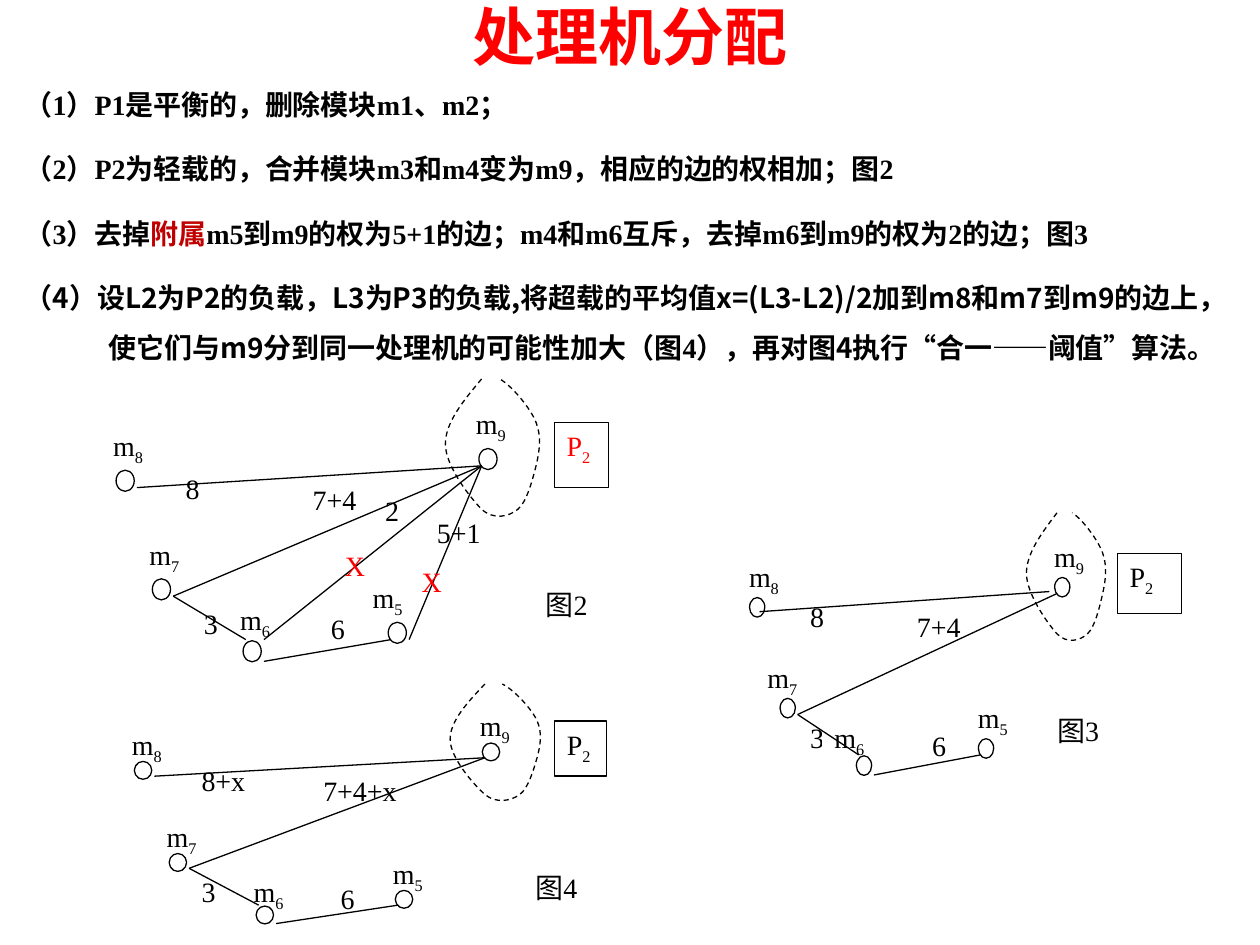
from collections import namedtuple

from lxml import etree
from pptx import Presentation
from pptx.dml.color import RGBColor
from pptx.enum import dml, shapes, text
from pptx.oxml import ns
from pptx.util import Cm, Pt

BLACK = RGBColor(0x00, 0x00, 0x00)
WHITE = RGBColor(0xFF, 0xFF, 0xFF)
RED = RGBColor(0xFF, 0x00, 0x00)
DARK_RED = RGBColor(0xC0, 0x00, 0x00)
SERIF = "Times New Roman"
SANS = "Noto Sans CJK SC"

COLUMNS, ROWS = 28, 14
NODES = {"6": (7.85, 12.05), "5": (15.85, 11.2), "9": (20.85, 3.2),
         "8": (0.85, 4.2), "7": (2.85, 9.2)}
LABELS = {"6": (7, 10), "5": (15, 9), "9": (20, 1), "8": (0, 2), "7": (2, 7)}
SHORT_EDGES = [(4, 10, 8, 12), (21, 4, 4, 10), (9, 13, 16, 12)]
CLUSTER_START = (21, 0)
CLUSTER_CURVES = [
    ((20, 1), (19, 2), (19, 3)),
    ((19, 4), (20.35, 5.45), (21, 6)),
    ((21.65, 6.5), (22.5, 6.35), (23, 6)),
    ((23.5, 5.65), (23.8, 4.65), (24, 4)),
    ((24.2, 3.3), (24.3, 2.65), (24, 2)),
    ((23.7, 1.35), (22.65, 0.3), (22, 0)),
]

Figure = namedtuple("Figure", "box weights edges label_columns processor caption marks")
FIGURES = [
    Figure((2.03, 7.64, 10.24, 6.13),
           [("3", 5, 10.2), ("2", 15, 5), ("5+1", 17.85, 6), ("7+4", 11, 4.5),
            ("8", 4, 4), ("6", 12, 10.4)],
           [(21, 4, 9, 12), (21, 4, 17, 12), (2, 5, 21, 4)],
           {"5": 14.3}, (25, 3, RED),
           ("图2", 8.71, 4.07, text.MSO_ANCHOR.MIDDLE),
           [(6.22, 3.61), (4.67, 3.3)]),
    Figure((14.85, 10.34, 8.61, 5.69),
           [("3", 4, 10), ("7+4", 11, 4.5), ("8", 4, 4), ("6", 12, 10.4)],
           [(1.5, 4.9, 20.5, 3.9)],
           {"6": 5.6, "7": 1.2}, (24.95, 4.2, BLACK),
           ("图3", 6.2, 3.91, text.MSO_ANCHOR.TOP), []),
    Figure((2.41, 13.79, 9.82, 5.2),
           [("3", 4, 10), ("7+4+x", 11, 4.5), ("8+x", 4, 4), ("6", 12, 10.4)],
           [(2, 5, 21, 4)],
           {}, (25, 3, BLACK),
           ("图4", 8.12, 3.63, text.MSO_ANCHOR.TOP), []),
]

STEPS = [
    [("（1）P1是平衡的，删除模块m1、m2；", SERIF, BLACK)],
    [("（2）P2为轻载的，合并模块m3和m4变为m9，相应的边的权相加；图2", SERIF, BLACK)],
    [("（3）去掉", SERIF, BLACK), ("附属", SERIF, DARK_RED),
     ("m5到m9的权为5+1的边；m4和m6互斥，去掉m6到m9的权为2的边；图3", SERIF, BLACK)],
    [("（4）设L2为P2的负载，L3为P3的负载,将超载的平均值x=(L3-L2)/2加到m8和m7到m9的边上，"
      "使它们与m9分到同一处理机的可能性加大（", SANS, BLACK),
     ("图4", SERIF, BLACK), ("），再对图4执行“合一——阈值”算法。", SANS, BLACK)],
]


def add_run(paragraph, words, size=16, font=SERIF, color=BLACK, bold=False):
    run = paragraph.add_run()
    run.text = words
    run.font.size = Pt(size)
    run.font.name = font
    run.font.bold = bold
    run.font.color.rgb = color
    east_asian = etree.SubElement(run._r.get_or_add_rPr(), ns.qn("a:ea"))
    east_asian.set("typeface", SANS)
    return run


def add_title(slide, left, top, width, height):
    frame = slide.shapes.add_textbox(Cm(left), Cm(top), Cm(width), Cm(height)).text_frame
    frame.word_wrap = True
    frame.vertical_anchor = text.MSO_ANCHOR.MIDDLE
    paragraph = frame.paragraphs[0]
    paragraph.alignment = text.PP_ALIGN.CENTER
    add_run(paragraph, "处理机分配", 36, color=RED, bold=True)


def add_steps(slide, left, top, width, height):
    frame = slide.shapes.add_textbox(Cm(left), Cm(top), Cm(width), Cm(height)).text_frame
    frame.word_wrap = True
    for index, step in enumerate(STEPS):
        paragraph = frame.add_paragraph() if index else frame.paragraphs[0]
        paragraph.line_spacing = 1.5
        if index:
            paragraph.space_before = Pt(8)
        properties = paragraph._p.get_or_add_pPr()
        properties.set("marL", str(Cm(1.69)))
        properties.set("indent", str(Cm(-1.69)))
        for words, font, color in step:
            add_run(paragraph, words, font=font, color=color, bold=True)


def add_caption(slide, words, left, top, width, anchor=text.MSO_ANCHOR.TOP, color=BLACK):
    frame = slide.shapes.add_textbox(Cm(left), Cm(top), Cm(width), Cm(0.94)).text_frame
    frame.word_wrap = False
    frame.auto_size = text.MSO_AUTO_SIZE.SHAPE_TO_FIT_TEXT
    frame.vertical_anchor = anchor
    frame.paragraphs[0].alignment = text.PP_ALIGN.CENTER
    add_run(frame.paragraphs[0], words, color=color)


def set_line(line):
    line.color.rgb = BLACK
    line.width = Pt(0.75)


def curve_segments(shape):
    segments = list(shape._element.iter(ns.qn("a:lnTo")))
    for index in range(0, len(segments), 3):
        curve = etree.Element(ns.qn("a:cubicBezTo"))
        segments[index].addprevious(curve)
        for segment in segments[index:index + 3]:
            curve.append(segment[0])
            segment.getparent().remove(segment)


def add_figure(slide, figure):
    left, top, width, height = figure.box
    group = slide.shapes.add_group_shape().shapes

    def place(column, row):
        return Cm(left + column * width / COLUMNS), Cm(top + row * height / ROWS)

    def add_box(kind, column, row, columns, rows, outlined):
        size = Cm(columns * width / COLUMNS), Cm(rows * height / ROWS)
        shape = group.add_shape(kind, *place(column, row), *size)
        shape.shadow.inherit = False
        shape.fill.solid()
        shape.fill.fore_color.rgb = WHITE
        if outlined:
            set_line(shape.line)
        else:
            shape.line.fill.background()
        return shape

    def add_label(words, column, row, columns, subscript="", color=BLACK, outlined=False):
        shape = add_box(shapes.MSO_SHAPE.RECTANGLE, column, row, columns, 3, outlined)
        frame = shape.text_frame
        frame.word_wrap = True
        frame.margin_right = 0
        frame.vertical_anchor = text.MSO_ANCHOR.TOP
        paragraph = frame.paragraphs[0]
        paragraph.alignment = text.PP_ALIGN.JUSTIFY
        add_run(paragraph, words, color=color)
        if subscript:
            run = add_run(paragraph, subscript, color=color)
            run.font._element.set("baseline", "-25000")

    for words, column, row in figure.weights:
        add_label(words, column, row, 2 + 0.8 * len(words))
    for name, (column, row) in NODES.items():
        label_column, label_row = LABELS[name]
        add_label("m", figure.label_columns.get(name, label_column), label_row, 4, name)
        add_box(shapes.MSO_SHAPE.OVAL, column, row, 1, 0.97, True)
    for x1, y1, x2, y2 in SHORT_EDGES + figure.edges:
        edge = group.add_connector(shapes.MSO_CONNECTOR.STRAIGHT, *place(x1, y1), *place(x2, y2))
        set_line(edge.line)
        etree.SubElement(edge._element.spPr, ns.qn("a:effectLst"))

    builder = group.build_freeform(*place(*CLUSTER_START))
    for curve in CLUSTER_CURVES:
        builder.add_line_segments([place(*point) for point in curve], close=False)
    cluster = builder.convert_to_shape()
    curve_segments(cluster)
    cluster.shadow.inherit = False
    cluster.fill.background()
    set_line(cluster.line)
    cluster.line.dash_style = dml.MSO_LINE.DASH

    column, columns, color = figure.processor
    add_label("P", column, 2, columns, "2", color, True)

    words, x, y, anchor = figure.caption
    add_caption(slide, words, left + x, top + y, 1.37, anchor)
    for x, y in figure.marks:
        add_caption(slide, "X", left + x, top + y, 0.91, color=RED)


def main():
    presentation = Presentation()
    presentation.slide_width, presentation.slide_height = Cm(25.4), Cm(19.05)
    slide = presentation.slides.add_slide(presentation.slide_layouts[6])
    add_title(slide, 0, 0, 25.4, 1.42)
    add_steps(slide, 0.25, 1.3, 24.9, 6.4)
    for figure in FIGURES:
        add_figure(slide, figure)
    presentation.save("out.pptx")


if __name__ == "__main__":
    main()
